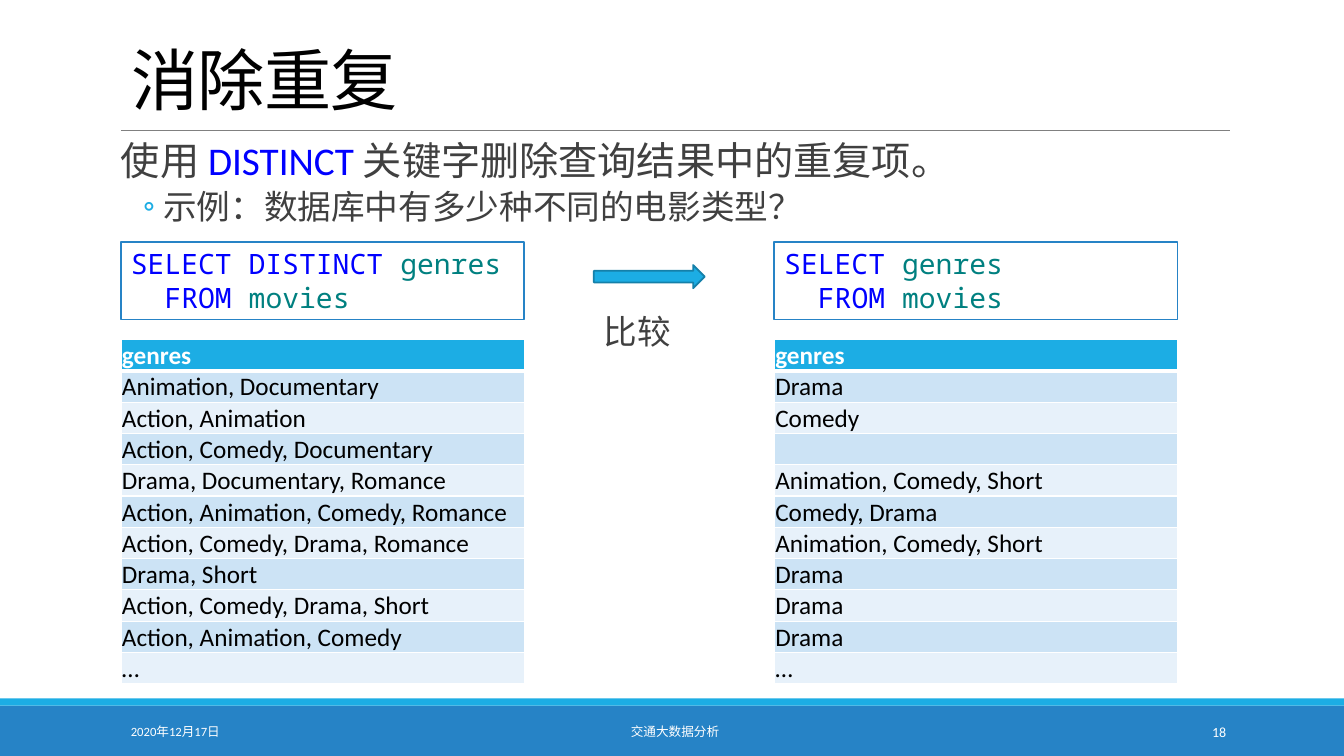
from lxml.etree import SubElement
from pptx import Presentation
from pptx.dml.color import RGBColor
from pptx.enum.shapes import MSO_CONNECTOR, MSO_SHAPE
from pptx.enum.text import MSO_ANCHOR, PP_ALIGN
from pptx.oxml.ns import qn
from pptx.util import Pt

PX = 9144  # 100 px to the inch
BLUE, CYAN, WHITE, BLACK, GREY = "2683C6", "1CADE4", "FFFFFF", "000000", "404040"
KEYWORD, NAME = "0000FF", "008080"
BANDS = ("E7F1FA", "CCE3F5")
LEFT, RIGHT, COLUMN = 120, 768, 400

DISTINCT_GENRES = [
    "Animation, Documentary", "Action, Animation", "Action, Comedy, Documentary",
    "Drama, Documentary, Romance", "Action, Animation, Comedy, Romance",
    "Action, Comedy, Drama, Romance", "Drama, Short", "Action, Comedy, Drama, Short",
    "Action, Animation, Comedy", "…",
]
ALL_GENRES = [
    "Drama", "Comedy", "", "Animation, Comedy, Short", "Comedy, Drama",
    "Animation, Comedy, Short", "Drama", "Drama", "Drama", "…",
]


def color(value):
    return RGBColor.from_string(value)


def emu(*lengths):
    return [length * PX for length in lengths]


def set_all(target, **values):
    for name, value in values.items():
        setattr(target, name, value)


def write(para, spans, size, font="Calibri", bold=False, **layout):
    """Fill a paragraph with (text, colour) spans."""
    set_all(para, **layout)
    for text, shade in spans:
        span = para.add_run()
        span.text = text
        set_all(span.font, size=Pt(size), name=font, bold=bold)
        span.font.color.rgb = color(shade)


def add_text(page, box, spans, size, anchor=MSO_ANCHOR.TOP, wrap=True, **layout):
    frame = page.shapes.add_textbox(*emu(*box)).text_frame
    set_all(frame, word_wrap=wrap, vertical_anchor=anchor)
    write(frame.paragraphs[0], spans, size, **layout)
    return frame


def add_block(page, kind, box, fill, line=None, width=1.25):
    block = page.shapes.add_shape(kind, *emu(*box))
    block.shadow.inherit = False
    block.fill.solid()
    block.fill.fore_color.rgb = color(fill)
    if line:
        block.line.color.rgb = color(line)
        block.line.width = Pt(width)
    else:
        block.line.fill.background()
    return block


def add_footer(page, box):
    left, top, width, height = box
    add_block(page, MSO_SHAPE.RECTANGLE, box, BLUE)
    add_block(page, MSO_SHAPE.RECTANGLE, (left, top - 7, width, 7), CYAN)
    for offset, size_x, text, size, align in (
        (120, 270, "2020年12月17日", 9, PP_ALIGN.LEFT),
        (406, 527, "交通大数据分析", 9, PP_ALIGN.CENTER),
        (1083, 143, "18", 10, PP_ALIGN.RIGHT),
    ):
        add_text(page, (left + offset, top + 6, size_x, 40), [(text, WHITE)], size,
                 anchor=MSO_ANCHOR.MIDDLE, alignment=align)


def add_title(page, box, text):
    left, top, width, height = box
    title = page.shapes.title
    set_all(title, **dict(zip(("left", "top", "width", "height"), emu(*box))))
    title.text_frame.vertical_anchor = MSO_ANCHOR.BOTTOM
    para = title.text_frame.paragraphs[0]
    write(para, [(text, BLACK)], 48, alignment=PP_ALIGN.LEFT, line_spacing=0.85)
    para.runs[0].font._element.set("spc", "-50")
    # Rule under the title
    rule_y = top + height + 6
    rule = page.shapes.add_connector(MSO_CONNECTOR.STRAIGHT,
                                     *emu(left, rule_y, left + width, rule_y))
    rule.line.color.rgb = color("808080")
    rule.line.width = Pt(0.5)
    SubElement(rule._element.spPr, qn("a:effectLst"))


def add_body(page, box):
    frame = add_text(page, box, [("使用 ", GREY), ("DISTINCT ", KEYWORD),
                                 ("关键字删除查询结果中的重复项。", GREY)], 28,
                     line_spacing=0.9, space_after=Pt(2))
    set_all(frame, margin_left=0, margin_right=0)
    example = frame.add_paragraph()
    properties = example._p.get_or_add_pPr()
    properties.set("marL", str(42 * PX))
    properties.set("indent", str(-20 * PX))
    bullet_color = SubElement(properties, qn("a:buClr"))
    SubElement(bullet_color, qn("a:srgbClr"), val=CYAN)
    SubElement(properties, qn("a:buFont"), typeface="Calibri")
    SubElement(properties, qn("a:buChar"), char="◦")
    write(example, [("示例：数据库中有多少种不同的电影类型？", GREY)], 24,
          line_spacing=0.9, space_before=Pt(2), space_after=Pt(4))


def add_query(page, box, keywords):
    frame = add_block(page, MSO_SHAPE.RECTANGLE, box, WHITE, BLUE).text_frame
    set_all(frame, word_wrap=True, vertical_anchor=MSO_ANCHOR.TOP)
    lines = ([(keywords + " ", KEYWORD), ("genres", NAME)],
             [("  ", BLACK), ("FROM ", KEYWORD), ("movies", NAME)])
    for para, spans in zip((frame.paragraphs[0], frame.add_paragraph()), lines):
        write(para, spans, 20, font="Noto Sans Mono", alignment=PP_ALIGN.LEFT)


def add_borders(cell, top, bottom):
    properties = cell._tc.get_or_add_tcPr()
    for side, width in (("L", 1), ("R", 1), ("T", top), ("B", bottom)):
        border = SubElement(properties, qn("a:ln" + side), w=str(Pt(width)))
        fill = SubElement(border, qn("a:solidFill"))
        SubElement(fill, qn("a:srgbClr"), val=WHITE)


def add_result(page, box, genres):
    left, top, width, row_height = box
    rows = ["genres"] + genres
    table = page.shapes.add_table(
        len(rows), 1, *emu(left, top, width, row_height * len(rows))).table
    table.horz_banding = False
    for index, text in enumerate(rows):
        header = index == 0
        table.rows[index].height = row_height * PX
        cell = table.cell(index, 0)
        set_all(cell, margin_left=PX, margin_top=PX, margin_right=PX, margin_bottom=0,
                vertical_anchor=MSO_ANCHOR.BOTTOM)
        add_borders(cell, 3 if index == 1 else 1, 3 if header else 1)
        cell.fill.solid()
        cell.fill.fore_color.rgb = color(CYAN if header else BANDS[index % 2])
        write(cell.text_frame.paragraphs[0], [(text, WHITE if header else BLACK)], 18,
              bold=header)


def add_comparison(page, box):
    left, top, width, height = box
    add_block(page, MSO_SHAPE.RIGHT_ARROW, (left, top, width, 23), CYAN, "1580A9")
    add_text(page, (left, top + 41, 88, 50), [("比较", GREY)], 24, wrap=False)


def main():
    deck = Presentation()
    set_all(deck, slide_width=1333 * PX, slide_height=750 * PX)
    page = deck.slides.add_slide(deck.slide_layouts[5])

    add_footer(page, (0, 700, 1333, 50))
    add_title(page, (LEFT, 14, 1100, 109), "消除重复")
    add_body(page, (LEFT, 136, 1100, 553))

    # Query and result on each side
    for left, keywords, genres in ((LEFT, "SELECT DISTINCT", DISTINCT_GENRES),
                                   (RIGHT, "SELECT", ALL_GENRES)):
        add_query(page, (left, 240, COLUMN, 77), keywords)
        add_result(page, (left, 337, COLUMN, 31), genres)
    add_comparison(page, (589, 263, 110, 91))

    deck.save("out.pptx")


if __name__ == "__main__":
    main()
